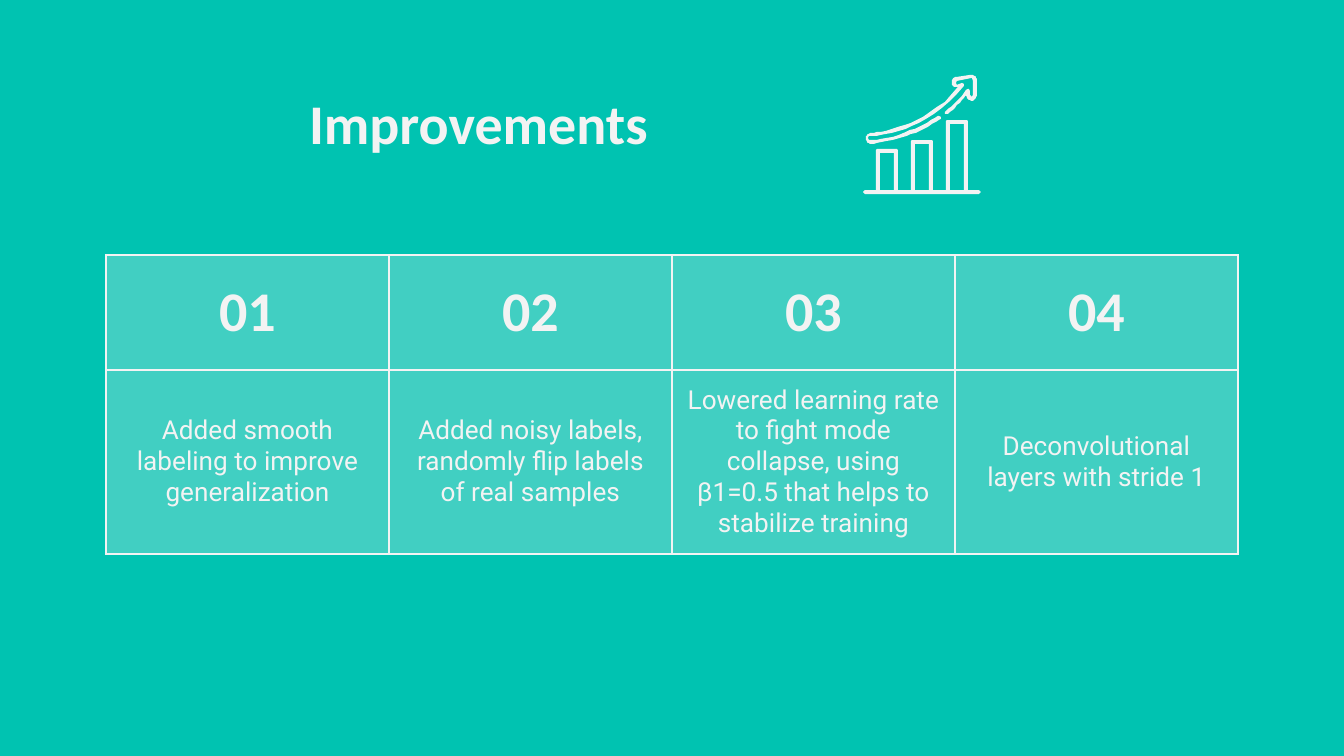
import pptx
import pptx.util
import pptx.dml.color
import pptx.enum.text
import pptx.oxml
import pptx.oxml.ns
from lxml import etree

# Content
TITLE = "Improvements"
IMPROVEMENTS = [
    ("01", "Added smooth labeling to improve generalization"),
    ("02", "Added noisy labels, randomly flip labels of real samples"),
    ("03", "Lowered learning rate to fight mode collapse, "
           "using β1=0.5 that helps to stabilize training"),
    ("04", "Deconvolutional layers with stride 1"),
]

# Theme and layout (px)
THEME = {
    "background": "00C3B1", "light": "F3F3F3", "cell_alpha": 27000,
    "heading": ("Calibri", 30, True), "body": ("Roboto", 14, False),
    "border": 1.5,
}
EMU_PER_PX = 914400 / 134.4
SLIDE = (1344, 756)
TITLE_BOX = (106, 75, 745, 85)
TABLE_LEFT, TABLE_TOP, COL_WIDTH = 106, 255, 283
ROW_HEIGHTS = (115, 159)
INSET = 0.1  # inches

# Icon (px): bars stand on a base line; the arrow mixes lines (x, y)
# and cubic curves (x1, y1, x2, y2, x, y)
BAR_LEFT, BAR_STEP, BAR_WIDTH, WALL = 876, 35, 22, 4
BAR_TOPS = (149, 140, 120)
BASE_LEFT, BASE_RIGHT, BASE_TOP, BASE_BOTTOM = 863, 981, 190, 194
ARROW_START = (972, 75)
ARROW = [
    # head, then upper edge of the shaft down to the tail
    (970, 75), (957, 77), (953, 77, 952, 79, 952, 83),
    (952, 86, 954, 87, 957, 87), (958, 87),
    (941, 109, 919, 120, 905, 125), (886, 132, 871, 133, 871, 133),
    (868, 133, 866, 136, 866, 138), (866, 141, 868, 144, 871, 144),
    # lower edge and its rounded end
    (871, 144, 887, 142, 907, 136), (919, 132, 930, 126, 939, 120),
    (941, 119), (941, 117), (939, 116), (938, 116),
    # inner outline of the shaft and head
    (929, 122, 918, 128, 906, 132), (887, 140, 871, 140, 871, 140),
    (869, 140), (868, 138), (869, 136), (871, 136),
    (871, 136, 886, 136, 906, 129), (922, 122, 945, 110, 964, 86),
    (964, 84), (962, 83), (957, 85), (956, 83), (957, 81),
    (972, 78), (973, 81), (973, 95), (972, 97), (970, 95),
    (970, 91), (969, 89), (968, 89), (966, 90),
    # short stroke under the head, then back round the tip
    (961, 98, 953, 105, 945, 112), (945, 114), (946, 114), (948, 114),
    (954, 109, 961, 102, 966, 95), (966, 98, 969, 101, 972, 101),
    (974, 101, 977, 98, 977, 95), (977, 81), (977, 78, 976, 75, 972, 75),
]


def px(n):
    return pptx.util.Emu(round(n * EMU_PER_PX))


def rgb(name):
    return pptx.dml.color.RGBColor.from_string(THEME[name])


def write(tf, text, style):
    tf.text = text
    p = tf.paragraphs[0]
    p.alignment = pptx.enum.text.PP_ALIGN.CENTER
    font = p.runs[0].font
    font.name, size, font.bold = THEME[style]
    font.size = pptx.util.Pt(size)
    font.color.rgb = rgb("light")


def set_insets(box):
    box.margin_left = box.margin_right = pptx.util.Inches(INSET)
    box.margin_top = box.margin_bottom = pptx.util.Inches(INSET)


def style_cell(cell):
    set_insets(cell)
    cell.vertical_anchor = pptx.enum.text.MSO_ANCHOR.MIDDLE
    cell.fill.solid()
    cell.fill.fore_color.rgb = rgb("light")
    tcPr = cell._tc.get_or_add_tcPr()
    qn = pptx.oxml.ns.qn
    color = tcPr.find(qn("a:solidFill")).find(qn("a:srgbClr"))
    etree.SubElement(color, qn("a:alpha"), val=str(THEME["cell_alpha"]))
    width = pptx.util.Pt(THEME["border"])
    for i, side in enumerate(("lnL", "lnR", "lnT", "lnB")):
        tcPr.insert(i, pptx.oxml.parse_xml(
            f'<a:{side} {pptx.oxml.ns.nsdecls("a")} w="{width}"><a:solidFill>'
            f'<a:srgbClr val="{THEME["light"]}"/></a:solidFill></a:{side}>'))


def flatten(start, segments, steps=8):
    points = [start]
    for seg in segments:
        if len(seg) == 2:
            points.append(seg)
            continue
        a, b, c, d = points[-1], seg[:2], seg[2:4], seg[4:]
        for t in (i / steps for i in range(1, steps + 1)):
            u = 1 - t
            points.append(tuple(
                u**3 * a[k] + 3 * u * u * t * b[k] + 3 * u * t * t * c[k] + t**3 * d[k]
                for k in (0, 1)))
    return points


def chart_contours():
    outline, holes = [(BASE_LEFT + 2, BASE_TOP)], []
    for i, top in enumerate(BAR_TOPS):
        left = BAR_LEFT + i * BAR_STEP
        right = left + BAR_WIDTH
        outline += [(left, BASE_TOP), (left, top + 1), (left + 1, top),
                    (right - 1, top), (right, top + 1), (right, BASE_TOP)]
        x1, x2, y = left + WALL, right - WALL, top + WALL
        holes.append([(x1, y), (x1, BASE_TOP), (x2, BASE_TOP), (x2, y)])
    middle = (BASE_TOP + BASE_BOTTOM) / 2
    outline += [(BASE_RIGHT - 2, BASE_TOP), (BASE_RIGHT, middle),
                (BASE_RIGHT - 2, BASE_BOTTOM), (BASE_LEFT + 2, BASE_BOTTOM),
                (BASE_LEFT, middle)]
    return [outline] + holes


def add_outline(shapes, contours):
    first, *rest = contours
    builder = shapes.build_freeform(*first[0], scale=EMU_PER_PX)
    builder.add_line_segments(first[1:], close=True)
    for contour in rest:
        builder.move_to(*contour[0])
        builder.add_line_segments(contour[1:], close=True)
    shape = builder.convert_to_shape()
    shape.shadow.inherit = False
    shape.fill.solid()
    shape.fill.fore_color.rgb = rgb("light")
    shape.line.fill.background()


prs = pptx.Presentation()
prs.slide_width, prs.slide_height = map(px, SLIDE)
s = prs.slides.add_slide(prs.slide_layouts[6])
s.background.fill.solid()
s.background.fill.fore_color.rgb = rgb("background")

# Title
tf = s.shapes.add_textbox(*map(px, TITLE_BOX)).text_frame
tf.word_wrap = True
set_insets(tf)
write(tf, TITLE, "heading")

# Table: one column per improvement
table = s.shapes.add_table(
    len(ROW_HEIGHTS), len(IMPROVEMENTS), px(TABLE_LEFT), px(TABLE_TOP),
    px(COL_WIDTH * len(IMPROVEMENTS)), px(sum(ROW_HEIGHTS))).table
for row, height in zip(table.rows, ROW_HEIGHTS):
    row.height = px(height)
for c, texts in enumerate(IMPROVEMENTS):
    table.columns[c].width = px(COL_WIDTH)
    for r, (text, style) in enumerate(zip(texts, ("heading", "body"))):
        style_cell(table.cell(r, c))
        write(table.cell(r, c).text_frame, text, style)

# Growth icon
icon = s.shapes.add_group_shape()
add_outline(icon.shapes, chart_contours())
add_outline(icon.shapes, [flatten(ARROW_START, ARROW)])

prs.save("out.pptx")
